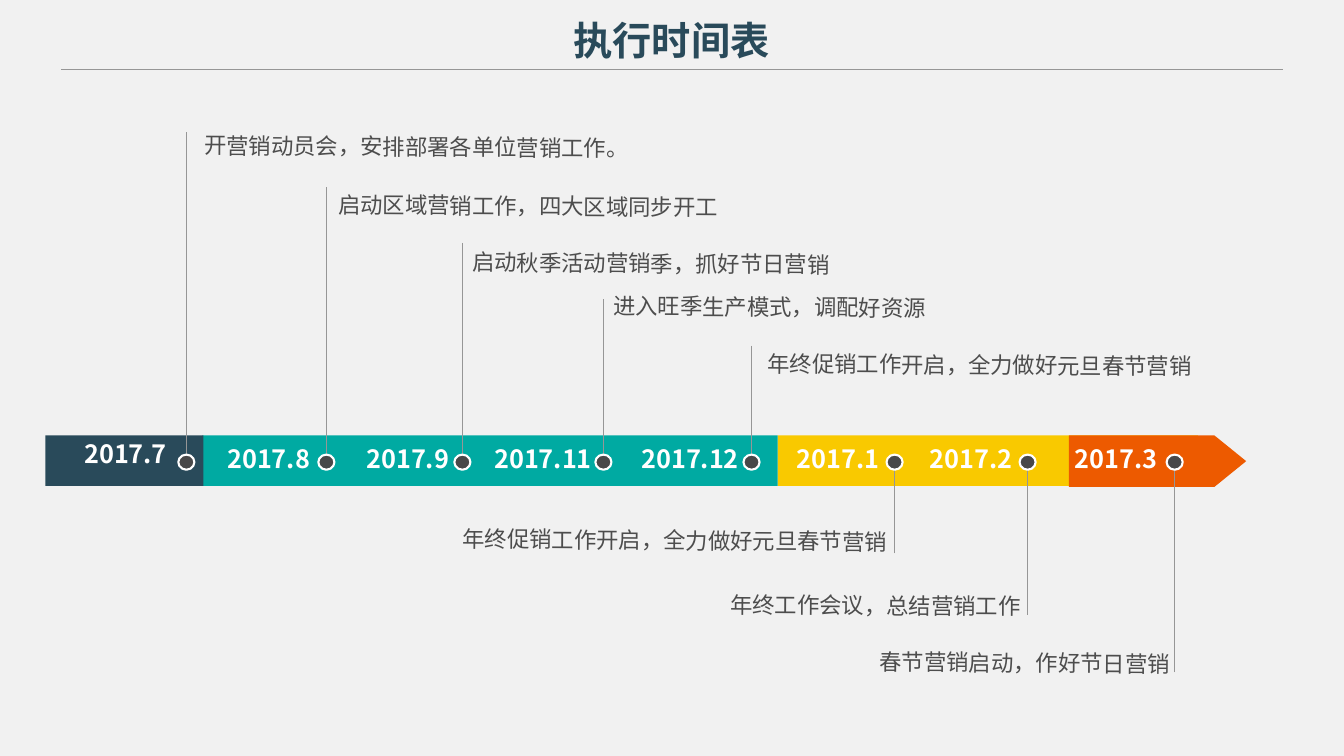
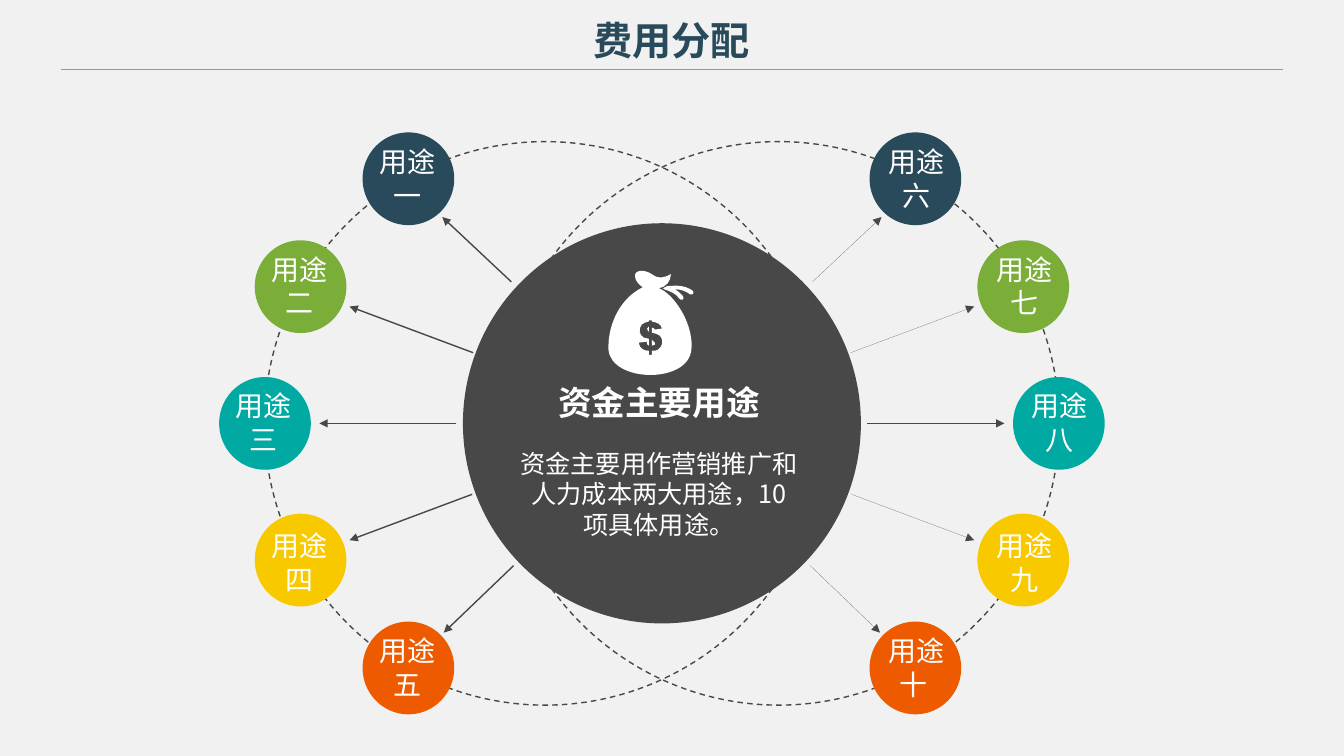
from math import cos, radians, sin

from lxml.etree import SubElement
from pptx import Presentation
from pptx.dml.color import RGBColor
from pptx.enum.dml import MSO_LINE
from pptx.enum.shapes import MSO_CONNECTOR, MSO_SHAPE as SHAPE
from pptx.enum.text import MSO_ANCHOR as ANCHOR, PP_ALIGN as ALIGN
from pptx.oxml.ns import qn
from pptx.util import Emu, Pt

SCALE = 9144
FONT = "Noto Sans CJK SC"
COLORS = {
    "bg": "F1F1F1", "navy": "294A5A", "teal": "00AAA2", "green": "7AAE39",
    "yellow": "F9C900", "orange": "ED5A00", "dark": "484849",
    "text": "4D4D4D", "rule": "969696", "white": "FFFFFF",
}
TILT = 0.5

EVENTS = [
    ("2017.7", 74, 105, 185, 131, (193, 123, 656, 40), "开营销动员会，安排部署各单位营销工作。"),
    ("2017.8", 216, 105, 324, 186, (326, 182, 656, 42), "启动区域营销工作，四大区域同步开工"),
    ("2017.9", 354, 105, 459, 241, (459, 239, 656, 42), "启动秋季活动营销季，抓好节日营销"),
    ("2017.11", 481, 121, 599, 297, (599, 281, 375, 42), "进入旺季生产模式，调配好资源"),
    ("2017.12", 627, 121, 746, 343, (752, 339, 537, 39), "年终促销工作开启，全力做好元旦春节营销"),
    ("2017.1", 781, 105, 888, 549, (339, 512, 551, 42), "年终促销工作开启，全力做好元旦春节营销"),
    ("2017.2", 913, 105, 1020, 610, (472, 576, 551, 40), "年终工作会议，总结营销工作"),
    ("2017.3", 1057, 105, 1166, 667, (620, 633, 551, 40), "春节营销启动，作好节日营销"),
]
BANDS = [
    (772, 417, 50, SHAPE.RECTANGLE, "yellow"),
    (1061, 176, 51, SHAPE.PENTAGON, "orange"),
    (201, 571, 50, SHAPE.RECTANGLE, "teal"),
    (45, 157, 50, SHAPE.RECTANGLE, "navy"),
]
NODES = [("navy", -60.8, 7), ("green", -29.2, 7), ("teal", 0, 7), ("yellow", 29.2, 10),
         ("orange", 60.8, 7)]
SPOKES = [(-43.2, 205, 299), (-20.5, 200, 331), (0, 204, 340), (20.5, 201, 331), (43.8, 204, 300)]
SIDES = [
    (-1, 541, 1, 5, ["用途一", "用途二", "用途三", "用途四", "用途五"]),
    (1, 773, 0, 7, ["用途六", "用途七", "用途八", "用途九", "用途十 "]),
]
MONEY_BAG = [
    [(59, 17), (69, 16, 76, 16, 84, 21), (87, 23, 85, 26, 82, 25), (78, 22, 73, 20, 67, 20),
     (70, 22, 73, 24, 75, 27), (77, 30, 73, 32, 71, 29), (69, 25, 62, 22, 59, 21),
     (58, 21, 56, 20, 55, 19), (56, 18, 58, 18, 59, 17)],
    [(44, 76), (45, 76, 46, 76, 47, 75), (47, 75, 47, 74, 47, 73), (46, 71, 45, 71, 44, 70)],
    [(41, 57), (40, 58, 38, 60, 40, 61), (40, 62, 41, 62, 41, 62)],
    [(54, 59), (47, 60), (46, 59, 46, 58, 44, 58), (44, 63), (48, 64, 51, 65, 52, 66),
     (56, 70, 55, 77, 50, 80), (49, 81, 46, 81, 44, 81), (44, 85), (41, 85), (41, 81),
     (36, 81, 32, 79, 31, 73), (39, 72), (39, 74, 39, 75, 41, 76), (41, 69),
     (39, 69, 37, 68, 36, 68), (31, 65, 31, 59, 34, 55), (36, 53, 38, 53, 41, 52), (41, 51),
     (44, 51), (44, 52), (49, 53, 53, 54, 54, 59)],
    [(1, 80), (4, 112, 77, 114, 83, 82), (87, 57, 67, 25, 51, 19), (59, 17, 62, 13, 63, 5),
     (55, 9, 51, 10, 44, 5), (37, 0, 24, 0, 28, 10), (29, 13, 32, 16, 35, 18),
     (9, 31, 0, 60, 1, 80)],
]


def px(n):
    return Emu(round(n * SCALE))


def rgb(name):
    return RGBColor.from_string(COLORS[name])


def write(shape, text, size, color, bold=False, align=ALIGN.LEFT, anchor=ANCHOR.TOP,
          wrap=True, spacing=None, font=FONT):
    tf = shape.text_frame
    tf.text = text
    tf.word_wrap = wrap
    tf.vertical_anchor = anchor
    p = tf.paragraphs[0]
    p.alignment = align
    if spacing:
        p.line_spacing = spacing
    f = p.runs[0].font
    f.name, f.size, f.bold = font, Pt(size), bold
    f.color.rgb = rgb(color)
    SubElement(p.runs[0]._r.rPr, qn("a:ea")).set("typeface", FONT)


def add_text(s, box, text, size, color, **style):
    tb = s.shapes.add_textbox(*map(px, box))
    write(tb, text, size, color, **style)
    return tb


def paint(shape, fill=None, line=None, width=1):
    shape.shadow.inherit = False
    if fill:
        shape.fill.solid()
        shape.fill.fore_color.rgb = rgb(fill)
    else:
        shape.fill.background()
    if line:
        shape.line.color.rgb = rgb(line)
        shape.line.width = Pt(width)
    else:
        shape.line.fill.background()


def add_shape(s, kind, box, **look):
    sp = s.shapes.add_shape(kind, *map(px, box))
    paint(sp, **look)
    return sp


def add_circle(s, cx, cy, w, h, **look):
    return add_shape(s, SHAPE.OVAL, (cx - w / 2, cy - h / 2, w, h), **look)


def add_line(s, start, end, color, width, arrow=False):
    cn = s.shapes.add_connector(MSO_CONNECTOR.STRAIGHT, *map(px, (*start, *end)))
    cn.line.color.rgb = rgb(color)
    ln = cn.line._get_or_add_ln()
    ln.set("w", str(int(Pt(width))))
    if arrow:
        SubElement(ln, qn("a:tailEnd")).set("type", "triangle")
    SubElement(cn._element.spPr, qn("a:effectLst"))


def new_slide(prs, title):
    s = prs.slides.add_slide(prs.slide_layouts[5])
    t = s.shapes.title
    t.left, t.top, t.width, t.height = map(px, (387, 11, 559, 57))
    write(t, title, 28, "navy", bold=True, align=ALIGN.CENTER)
    add_line(s, (61, 69), (1273, 69), "rule", 0.75)
    return s


def add_event(s, y, date, date_x, date_w, x, stem_end, note_box, note):
    below = stem_end > y
    anchor = ANCHOR.TOP if date == EVENTS[0][0] else ANCHOR.MIDDLE
    label = add_text(s, (date_x, y - 2, date_w, 50), date, 18, "white", bold=True,
                     anchor=anchor, wrap=False)
    text = add_text(s, note_box, note, 16, "text", spacing=1.2, font="Arial",
                    align=ALIGN.RIGHT if below else ALIGN.LEFT)
    label.rotation = text.rotation = TILT
    add_line(s, (x, stem_end), (x, y + (22 if below else 30)), "rule", 0.75)
    add_shape(s, SHAPE.FLOWCHART_CONNECTOR, (x - 8, y + 19, 16, 15),
              fill="dark", line="white", width=1.5)


def timeline_slide(prs):
    s = new_slide(prs, "执行时间表")
    y = 432
    for x, w, h, kind, color in BANDS:
        band = add_shape(s, kind, (x, y, w, h), fill=color)
        if kind == SHAPE.PENTAGON:
            band.adjustments[0] = 0.617
    for event in EVENTS:
        add_event(s, y, *event)


def polar(cx, cy, radius, angle, side):
    a = radians(angle)
    return cx + side * radius * cos(a), cy + radius * sin(a)


def curve(line_to, controls, left, top):
    line_to.tag = qn("a:cubicBezTo")
    for i, (x, y) in enumerate(controls):
        pt = line_to.makeelement(qn("a:pt"), {"x": str(px(x) - left), "y": str(px(y) - top)})
        line_to.insert(i, pt)


def add_money_bag(s, x, y):
    fb = s.shapes.build_freeform(*map(px, MONEY_BAG[0][0]))
    for i, (start, *segs) in enumerate(MONEY_BAG):
        if i:
            fb.move_to(*map(px, start))
        fb.add_line_segments([(px(seg[-2]), px(seg[-1])) for seg in segs], close=True)
    bag = fb.convert_to_shape(px(x), px(y))
    left, top = bag.left - px(x), bag.top - px(y)
    segs = [seg for contour in MONEY_BAG for seg in contour[1:]]
    for line_to, seg in zip(list(bag._element.iter(qn("a:lnTo"))), segs):
        if len(seg) == 6:
            curve(line_to, (seg[:2], seg[2:4]), left, top)
    paint(bag, fill="white")


def add_orbit(s, cx, cy, side, orbit_x, width):
    orbit = add_circle(s, orbit_x, cy, 557, 559, line="dark")
    orbit.line.dash_style = MSO_LINE.DASH
    for angle, inner, outer in SPOKES:
        add_line(s, polar(cx, cy, inner, angle, side), polar(cx, cy, outer, angle, side),
                 "dark", width, arrow=True)


def add_nodes(s, cy, side, orbit_x, inset, labels):
    for label, (color, angle, drop) in zip(labels, NODES):
        x, y = polar(orbit_x, cy, 278, angle, side)
        add_circle(s, x, y, 91, 92, fill=color)
        add_text(s, (x - 45.5 + inset, y - 46 + drop, 79, 77), label, 20, "white",
                 align=ALIGN.CENTER)


def budget_slide(prs):
    s = new_slide(prs, "费用分配")
    cx, cy = 657, 420
    for side, orbit_x, width, inset, labels in SIDES:
        add_orbit(s, cx, cy, side, orbit_x, width)
    add_circle(s, cx, cy, 395, 397, fill="dark")
    add_text(s, (cx - 151, cy + 20, 296, 101), "资金主要用作营销推广和人力成本两大用途，10项具体用途。",
             18, "white", align=ALIGN.CENTER)
    add_text(s, (cx - 175, cy - 46, 344, 50), "资金主要用途", 24, "white", bold=True,
             align=ALIGN.CENTER)
    for side, orbit_x, width, inset, labels in SIDES:
        add_nodes(s, cy, side, orbit_x, inset, labels)
    add_money_bag(s, cx - 54, cy - 153)


def main():
    prs = Presentation()
    prs.slide_width, prs.slide_height = px(1334), px(750)
    bg = prs.slide_master.background.fill
    bg.solid()
    bg.fore_color.rgb = rgb("bg")
    timeline_slide(prs)
    budget_slide(prs)
    prs.save("out.pptx")


if __name__ == "__main__":
    main()
